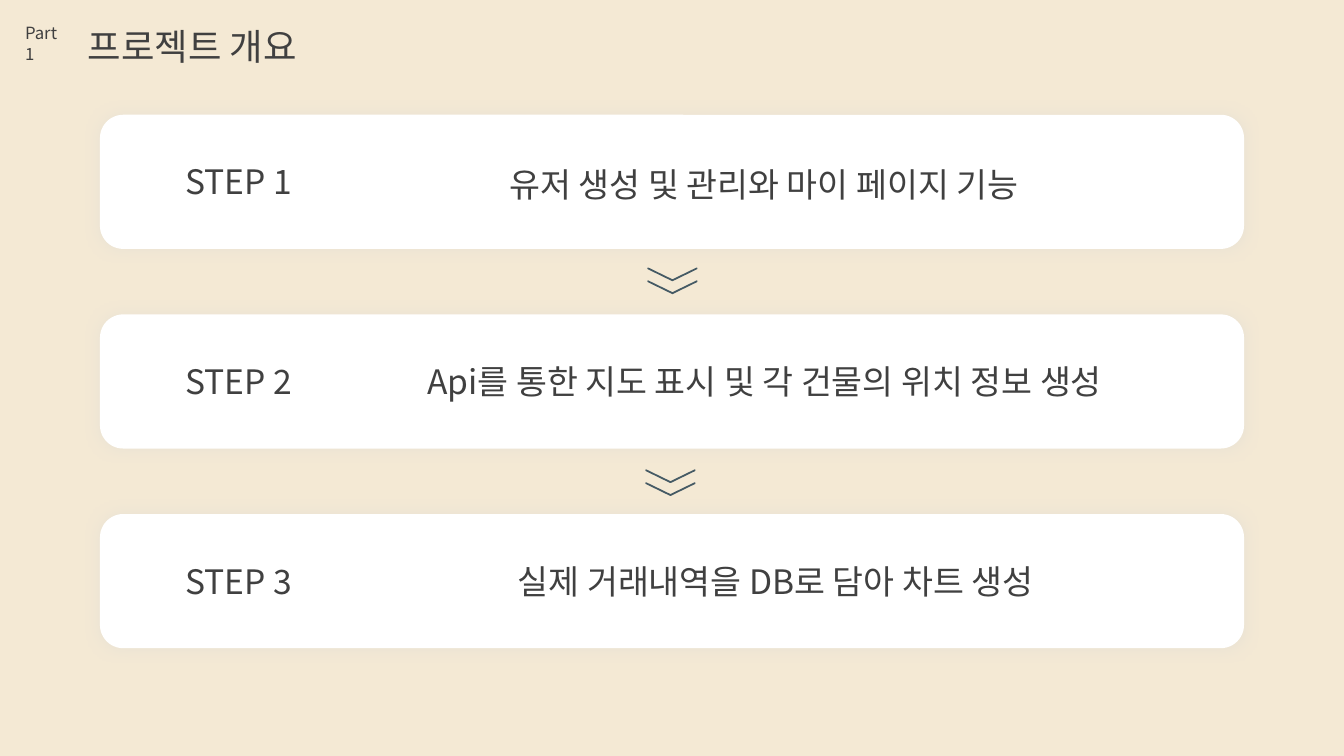
from dataclasses import dataclass

from lxml import etree
from pptx import Presentation
from pptx.dml.color import RGBColor as RGB
from pptx.enum.shapes import MSO_SHAPE as SHAPE
from pptx.enum.text import MSO_ANCHOR as ANCHOR, MSO_AUTO_SIZE as AUTO, PP_ALIGN as ALIGN
from pptx.oxml.ns import qn
from pptx.util import Pt


@dataclass(frozen=True)
class Theme:
    background: RGB = RGB(0xF4, 0xE9, 0xD4)
    card: RGB = RGB(0xFF, 0xFF, 0xFF)
    shadow: str = "D9D9D9"
    text: RGB = RGB(0x40, 0x40, 0x40)
    arrow: RGB = RGB(0x5C, 0x95, 0xC2)
    arrow_line: RGB = RGB(0x45, 0x5A, 0x64)
    font: str = "Noto Sans CJK KR"
    title_size: int = 26
    step_size: int = 24
    part_size: int = 12


theme = Theme()


def write(sp, text, size, align=ALIGN.LEFT, anchor=ANCHOR.TOP, wrap=False):
    tf = sp.text_frame
    tf.word_wrap = wrap
    tf.auto_size = AUTO.NONE
    tf.vertical_anchor = anchor
    p = tf.paragraphs[0]
    p.alignment = align
    r = p.add_run()
    r.text = text
    r.font.size = Pt(size)
    r.font.name = theme.font
    r.font.color.rgb = theme.text
    ea = etree.SubElement(r.font._element, qn("a:ea"))
    ea.set("typeface", theme.font)


def add_shadow(sp):
    sp.shadow.inherit = False
    effects = sp._element.spPr.find(qn("a:effectLst"))
    outer = etree.SubElement(effects, qn("a:outerShdw"), blurRad=str(Pt(10)),
                             dist="0", dir="2700000", algn="ctr", rotWithShape="0")
    color = etree.SubElement(outer, qn("a:srgbClr"), val=theme.shadow)
    etree.SubElement(color, qn("a:alpha"), val="40000")


prs = Presentation()
prs.slide_width, prs.slide_height = Pt(960), Pt(540)
slide = prs.slides.add_slide(prs.slide_layouts[5])
slide.background.fill.solid()
slide.background.fill.fore_color.rgb = theme.background
shapes = slide.shapes

title = shapes.title
title.left, title.top, title.width, title.height = Pt(55.5), Pt(13), Pt(181.5), Pt(39)
write(title, "프로젝트 개요", theme.title_size, anchor=ANCHOR.MIDDLE)

part = shapes.add_textbox(Pt(10.8), Pt(13), Pt(45.4), Pt(21.6))
write(part, "Part 1", theme.part_size, wrap=True)

steps = [
    ("유저 생성 및 관리와 마이 페이지 기능", 332.6, 2.2, 426.2),
    ("Api를 통한 지도 표시 및 각 건물의 위치 정보 생성", 266.4, 0, 559.4),
    ("실제 거래내역을 DB로 담아 차트 생성", 339.8, 0, 428.4),
]
card_top, card_pitch = 82, 142.6
for i, (description, left, drop, width) in enumerate(steps):
    top = card_top + i * card_pitch
    card = shapes.add_shape(SHAPE.ROUNDED_RECTANGLE, Pt(71.4), Pt(top), Pt(817.2), Pt(95.8))
    card.adjustments[0] = 0.173
    card.fill.solid()
    card.fill.fore_color.rgb = theme.card
    card.line.fill.background()
    add_shadow(card)

    label = shapes.add_textbox(Pt(122.4), Pt(top + 29.6), Pt(96.5), Pt(36))
    write(label, f"STEP {i + 1}", theme.step_size, ALIGN.CENTER)
    detail = shapes.add_textbox(Pt(left), Pt(top + 29.6 + drop), Pt(width), Pt(36))
    write(detail, description, theme.step_size, ALIGN.CENTER)

for left, top in [(475.9, 178.6), (474.5, 322.8)]:
    arrow = shapes.add_group_shape()
    for offset in (0, 9.2):
        chevron = arrow.shapes.add_shape(SHAPE.CHEVRON, Pt(left), Pt(top + offset), Pt(8.8), Pt(34.8))
        chevron.rotation = 90
        chevron.adjustments[0] = 0.967
        chevron.shadow.inherit = False
        chevron.fill.solid()
        chevron.fill.fore_color.rgb = theme.arrow
        chevron.line.color.rgb = theme.arrow_line
        chevron.line.width = Pt(1)

prs.save("out.pptx")
